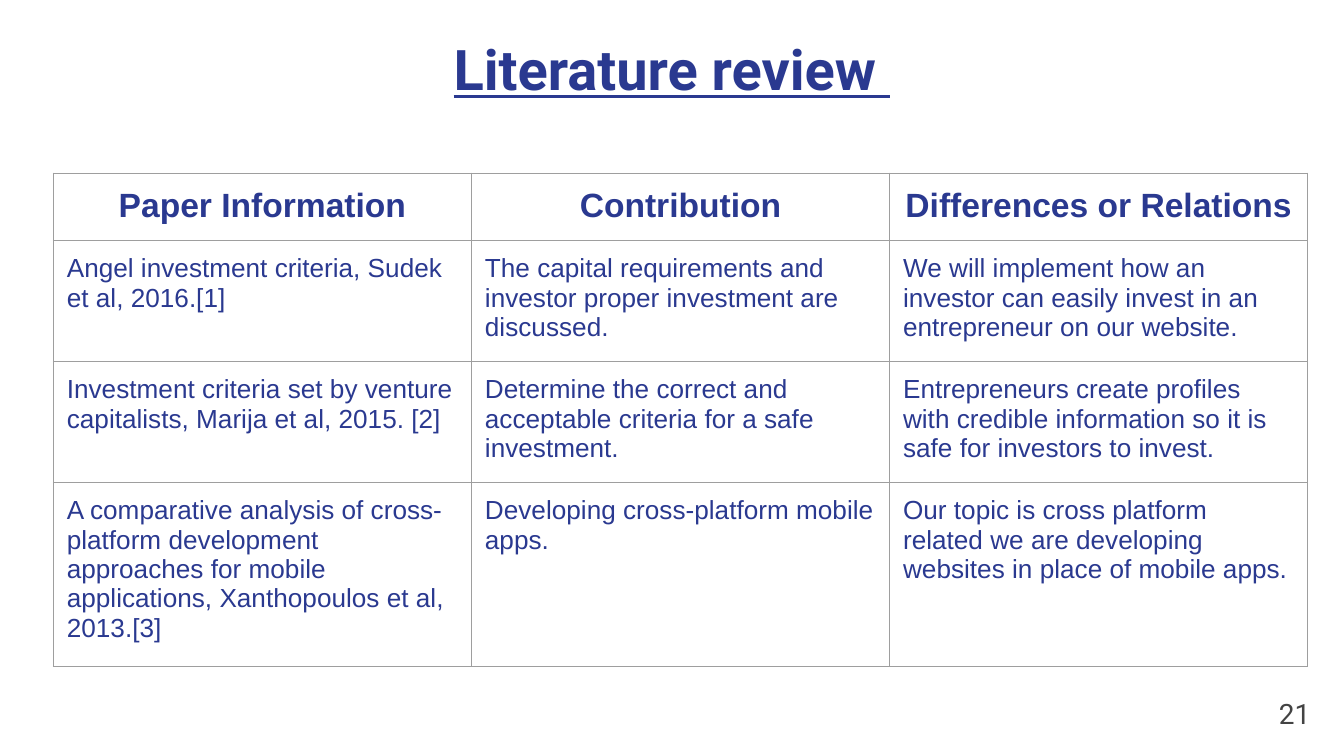
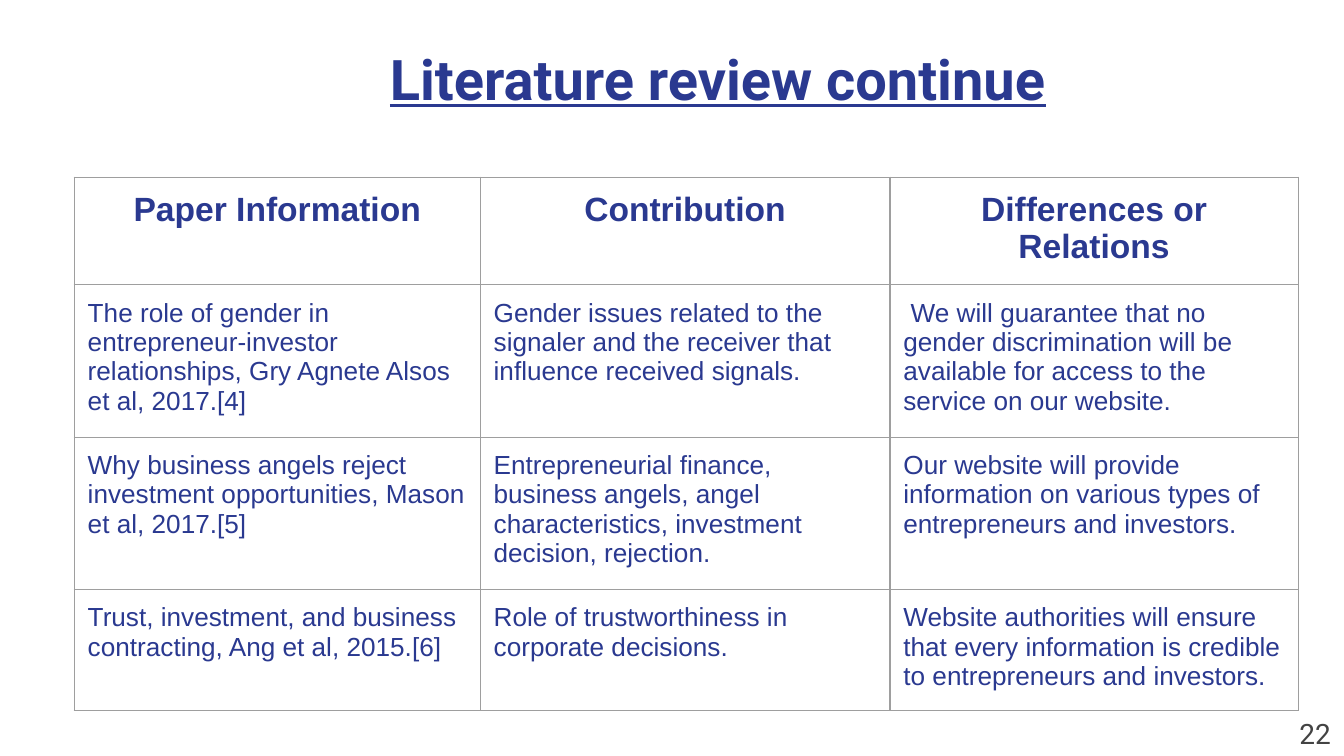
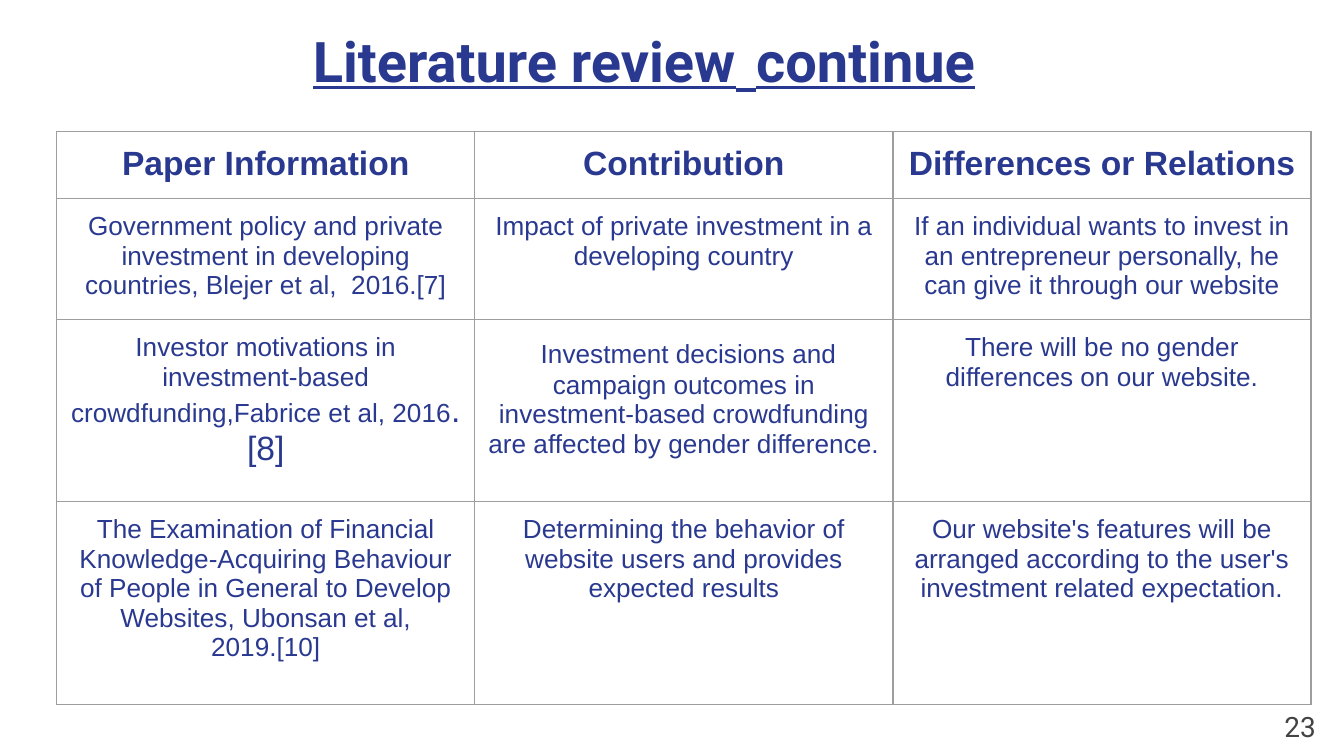
from dataclasses import dataclass

from lxml.etree import SubElement
from pptx import Presentation
from pptx.dml.color import RGBColor
from pptx.enum.text import MSO_ANCHOR, PP_ALIGN
from pptx.oxml.ns import qn
from pptx.slide import Slide
from pptx.table import _Cell
from pptx.text.text import TextFrame, _Paragraph
from pptx.util import Pt

NAVY = RGBColor(0x2A, 0x39, 0x90)
GRAY = RGBColor(0x43, 0x43, 0x43)
RULE = RGBColor(0x9E, 0x9E, 0x9E)

HEAD_FONT = "Roboto"
BODY_FONT = "Arial"
TITLE_SIZE, HEAD_SIZE, BODY_SIZE, PAGE_SIZE = 30, 18, 14, 15
INSET = Pt(7.2)
HEADER = ("Paper Information", "Contribution", "Differences or Relations")


@dataclass(frozen=True)
class Span:
    """A piece of text; without a size it takes that of its surroundings."""
    text: str
    size: float | None = None


Line = str | tuple[Span, ...]
Entry = Line | list[Line]


@dataclass(frozen=True)
class Box:
    left: float
    top: float
    width: float
    height: float


@dataclass(frozen=True)
class Grid:
    left: float
    top: float
    cols: tuple[float, ...]
    heights: tuple[float, ...]
    rows: tuple[tuple[Entry, ...], ...]
    align: PP_ALIGN = PP_ALIGN.LEFT


@dataclass(frozen=True)
class Review:
    title: Line
    title_box: Box
    grid: Grid
    page: int
    page_left: float
    page_top: float


@dataclass(frozen=True)
class Style:
    font: str
    size: float
    color: RGBColor
    align: PP_ALIGN
    bold: bool = False
    underline: bool = False


REVIEWS = (
    Review(
        "Literature review ", Box(24.5, 11.5, 671, 47.5),
        Grid(28.6, 92.8, (224, 224, 224), (36, 62, 62, 93.6), (
            ("Angel investment criteria, Sudek et al, 2016.[1]",
             "The capital requirements and investor proper investment are discussed.",
             "We will implement how an investor can easily invest in an entrepreneur "
             "on our website."),
            ("Investment criteria set by venture capitalists, Marija et al, 2015. [2]",
             "Determine the correct and acceptable criteria for a safe investment.",
             "Entrepreneurs create profiles with credible information so it is safe "
             "for investors to invest."),
            ("A comparative analysis of cross-platform development approaches for "
             "mobile applications, Xanthopoulos et al, 2013.[3]",
             "Developing cross-platform mobile apps.",
             "Our topic is cross platform related we are developing websites in place "
             "of mobile apps."),
        )),
        21, 666, 366.5,
    ),
    Review(
        "Literature review continue", Box(49, 16.5, 671, 47.5),
        Grid(39.8, 95, (217.5, 219.5, 218.7), (54.5, 77.2, 77.2, 61.6), (
            ("The role of gender in entrepreneur-investor relationships, Gry Agnete "
             "Alsos et al, 2017.[4]",
             "Gender issues related to the signaler and the receiver that influence "
             "received signals.",
             " We will guarantee that no gender discrimination will be available for "
             "access to the service on our website."),
            ("Why business angels reject investment opportunities, Mason et al, 2017.[5]",
             "Entrepreneurial finance, business angels, angel characteristics, "
             "investment decision, rejection.",
             "Our website will provide information on various types of entrepreneurs "
             "and investors."),
            ("Trust, investment, and business contracting, Ang et al, 2015.[6]",
             "Role of trustworthiness in corporate decisions.",
             "Website authorities will ensure that every information is credible to "
             "entrepreneurs and investors."),
        )),
        22, 677, 377.5,
    ),
    Review(
        (Span("Literature review"), Span(" ", 44), Span("continue")),
        Box(9.5, -7.2, 671, 59),
        Grid(30.4, 70.4, (224, 224, 224), (34.8, 61.6, 97.5, 108.7), (
            ("Government policy and private investment in developing countries, "
             "Blejer et al,  2016.[7]",
             "Impact of private investment in a developing country",
             "If an individual wants to invest in an entrepreneur personally, he can "
             "give it through our website"),
            ((Span("Investor motivations in investment-based crowdfunding,Fabrice "
                   "et al, 2016"), Span(".[8]", HEAD_SIZE)),
             (Span(" ", HEAD_SIZE),
              Span("Investment decisions and campaign outcomes in investment-based "
                   "crowdfunding are affected by gender difference.")),
             "There will be no gender differences on our website."),
            (["The Examination of Financial Knowledge-Acquiring Behaviour of People "
              "in General to Develop Websites, Ubonsan et al,", "2019.[10]"],
             "Determining the behavior of website users and provides expected results",
             "Our website's features will be arranged according to the user's "
             "investment related expectation."),
        ), PP_ALIGN.CENTER),
        23, 669, 373.7,
    ),
)


def write_line(para: _Paragraph, line: Line, style: Style) -> None:
    para.alignment = style.align
    spans = (Span(line),) if isinstance(line, str) else line
    for span in spans:
        run = para.add_run()
        run.text = span.text
        font = run.font
        font.name = style.font
        font.size = Pt(span.size or style.size)
        font.bold = style.bold
        font.underline = style.underline
        font.color.rgb = style.color


def write(frame: TextFrame, entry: Entry, style: Style) -> None:
    """Fill an empty frame with one paragraph for each line of the entry."""
    lines = entry if isinstance(entry, list) else [entry]
    for i, line in enumerate(lines):
        para = frame.add_paragraph() if i else frame.paragraphs[0]
        write_line(para, line, style)


def add_text(slide: Slide, box: Box, line: Line, style: Style, anchor: MSO_ANCHOR) -> None:
    shape = slide.shapes.add_textbox(
        Pt(box.left), Pt(box.top), Pt(box.width), Pt(box.height))
    frame = shape.text_frame
    frame.word_wrap = True
    frame.vertical_anchor = anchor
    frame.margin_left = frame.margin_right = INSET
    frame.margin_top = frame.margin_bottom = INSET
    write(frame, line, style)


def add_rules(cell: _Cell) -> None:
    """Draw a thin rule on all four sides of the cell."""
    props = cell._tc.get_or_add_tcPr()
    for i, side in enumerate(("lnL", "lnR", "lnT", "lnB")):
        rule = SubElement(props, qn(f"a:{side}"), w=str(Pt(0.75)))
        fill = SubElement(rule, qn("a:solidFill"))
        SubElement(fill, qn("a:srgbClr"), val=str(RULE))
        props.insert(i, rule)


def add_grid(slide: Slide, grid: Grid) -> None:
    rows = (HEADER, *grid.rows)
    table = slide.shapes.add_table(
        len(rows), len(grid.cols), Pt(grid.left), Pt(grid.top),
        Pt(sum(grid.cols)), Pt(sum(grid.heights))).table
    table.first_row = table.horz_banding = False
    for col, width in zip(table.columns, grid.cols):
        col.width = Pt(width)
    for row, height in zip(table.rows, grid.heights):
        row.height = Pt(height)

    head = Style(BODY_FONT, HEAD_SIZE, NAVY, PP_ALIGN.CENTER, bold=True)
    body = Style(BODY_FONT, BODY_SIZE, NAVY, grid.align)
    for r, row in enumerate(rows):
        for c, entry in enumerate(row):
            cell = table.cell(r, c)
            cell.margin_left = cell.margin_right = INSET
            cell.margin_top = cell.margin_bottom = INSET
            cell.fill.background()
            add_rules(cell)
            write(cell.text_frame, entry, body if r else head)


def add_review(deck: Presentation, review: Review) -> None:
    slide = deck.slides.add_slide(deck.slide_layouts[6])
    title = Style(HEAD_FONT, TITLE_SIZE, NAVY, PP_ALIGN.CENTER, bold=True, underline=True)
    page = Style(HEAD_FONT, PAGE_SIZE, GRAY, PP_ALIGN.RIGHT)
    add_text(slide, review.title_box, review.title, title, MSO_ANCHOR.TOP)
    add_grid(slide, review.grid)
    spot = Box(review.page_left, review.page_top, 43, 31)
    add_text(slide, spot, str(review.page), page, MSO_ANCHOR.MIDDLE)


def main() -> None:
    deck = Presentation()
    deck.slide_width, deck.slide_height = Pt(720), Pt(405)
    for review in REVIEWS:
        add_review(deck, review)
    deck.save("out.pptx")


if __name__ == "__main__":
    main()
